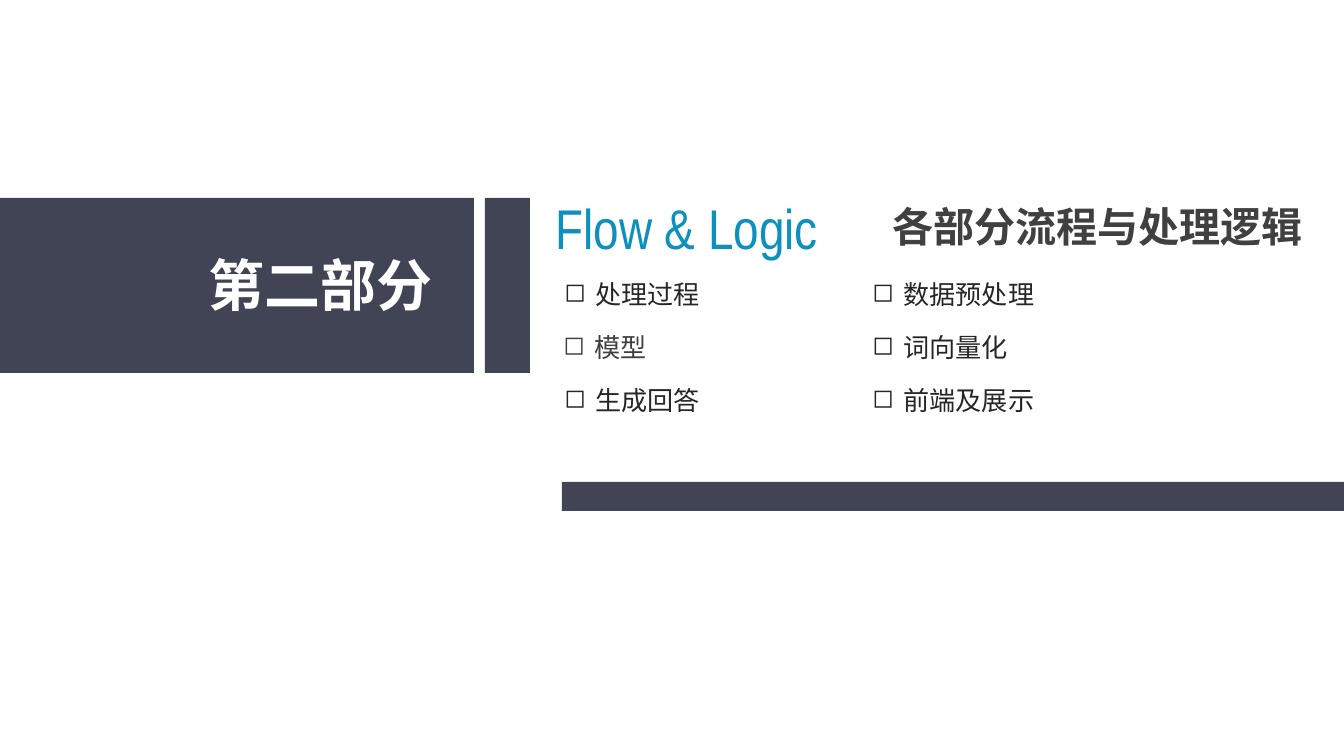
"""Build the section divider slide for part two."""
import dataclasses
import pptx
import pptx.dml.color
import pptx.enum.shapes
import pptx.enum.text
import pptx.oxml.ns
import pptx.util
from lxml import etree

SCALE = 914400 / 134.4


@dataclasses.dataclass(frozen=True)
class Theme:
    band: str = "414455"
    accent: str = "0E90BE"
    white: str = "FFFFFF"
    dark: str = "262626"
    grey: str = "404040"
    cjk: str = "Noto Sans CJK SC"
    latin: str = "Arial Narrow"
    title: int = 30
    heading: int = 22
    item: int = 14


THEME = Theme()


def px(n):
    return pptx.util.Emu(round(n * SCALE))


def rgb(color):
    return pptx.dml.color.RGBColor.from_string(color)


def add_block(s, x, y, w, h):
    sp = s.shapes.add_shape(pptx.enum.shapes.MSO_SHAPE.RECTANGLE, px(x), px(y), px(w), px(h))
    sp.shadow.inherit = False
    sp.fill.solid()
    sp.fill.fore_color.rgb = rgb(THEME.band)
    sp.line.fill.background()


def add_text(s, x, y, w, h, text, size, color, font=THEME.cjk, bold=False):
    tf = s.shapes.add_textbox(px(x), px(y), px(w), px(h)).text_frame
    tf.word_wrap = False
    tf.auto_size = pptx.enum.text.MSO_AUTO_SIZE.SHAPE_TO_FIT_TEXT
    tf.margin_left = tf.margin_right = pptx.util.Inches(0.07)
    tf.margin_top = tf.margin_bottom = pptx.util.Inches(0.04)
    p = tf.paragraphs[0]
    r = p.add_run()
    r.text = text
    r.font.size = pptx.util.Pt(size)
    r.font.bold = bold
    r.font.color.rgb = rgb(color)
    r.font.name = font
    ea = etree.SubElement(r.font._element, pptx.oxml.ns.qn("a:ea"))
    ea.set("typeface", font)
    return p


def add_item(s, x, y, text, color):
    p = add_text(s, x, y, 53 + 26 * len(text), 42, text, THEME.item, color)
    pPr = p._p.get_or_add_pPr()
    pPr.set("marL", str(px(31)))
    pPr.set("indent", str(-px(31)))
    bu = etree.SubElement(pPr, pptx.oxml.ns.qn("a:buChar"))
    bu.set("char", "◻")


def add_column(s, x, items):
    for i, (text, color, dx) in enumerate(items):
        add_item(s, x + dx, 273 + 53 * i, text, color)


def main():
    prs = pptx.Presentation()
    prs.slide_width, prs.slide_height = px(1344), px(756)
    s = prs.slides.add_slide(prs.slide_layouts[6])
    for box in ((0, 198, 474, 175), (485, 198, 45, 175), (562, 482, 782, 29)):
        add_block(s, *box)
    add_text(s, 199, 245, 246, 78, "第二部分", THEME.title, THEME.white, bold=True)
    add_text(s, 546, 188, 301, 78, "Flow & Logic", THEME.title, THEME.accent, THEME.latin)
    add_text(s, 883, 196, 435, 60, "各部分流程与处理逻辑", THEME.heading, THEME.grey, bold=True)
    add_column(s, 555, [("处理过程", THEME.dark, 0), ("模型", THEME.grey, -1),
                        ("生成回答", THEME.dark, 0)])
    add_column(s, 863, [(text, THEME.dark, 0) for text in ("数据预处理", "词向量化", "前端及展示")])
    prs.save("out.pptx")


main()
